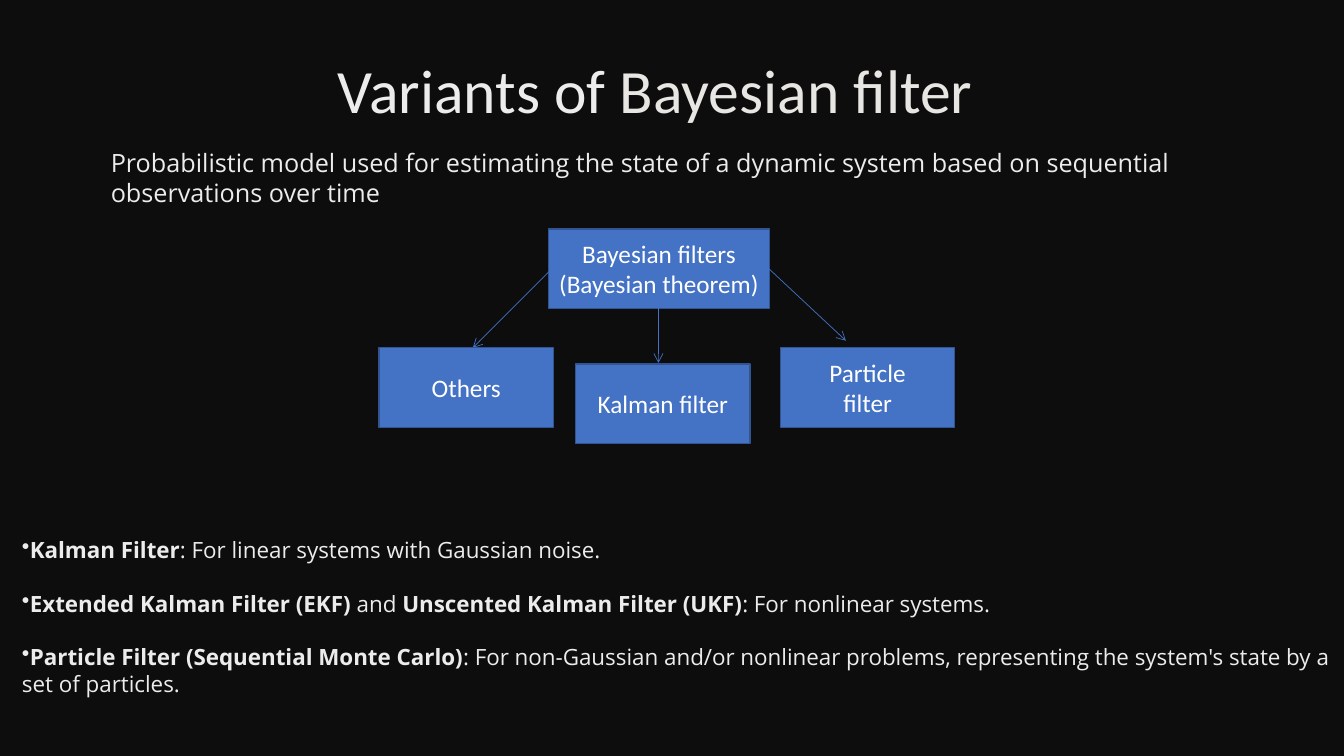
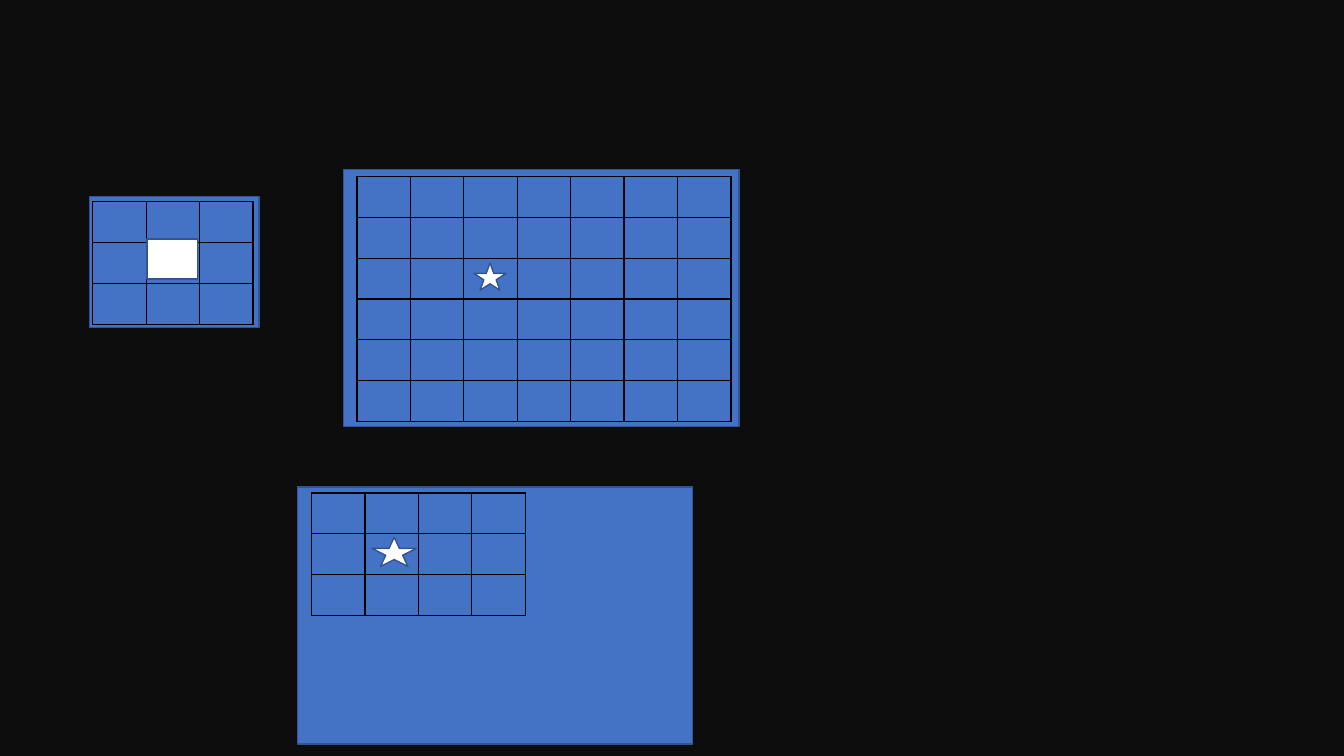
from pptx import Presentation
from pptx.dml.color import RGBColor
from pptx.enum.shapes import MSO_CONNECTOR as CONN, MSO_SHAPE as SHAPE
from pptx.enum.text import MSO_ANCHOR as ANCHOR, PP_ALIGN as ALIGN
from pptx.oxml import parse_xml
from pptx.oxml.ns import nsdecls, qn
from pptx.util import Pt

PX = 9144


def px(*lengths):
    return [n * PX for n in lengths]


def rgb(value):
    return RGBColor.from_string(value)


def xml(tag, attrs="", body=""):
    return parse_xml(f"<a:{tag} {nsdecls('a')} {attrs}>{body}</a:{tag}>")


class Deck:
    """Holds the style and the current slide, and draws each kind of element."""

    BACK, BLUE, EDGE, WHITE = "0D0D0D", "4472C4", "325491", "FFFFFF"
    TEXT, TITLE_TEXT, GRID = "ECECEC", "E8E6E3", "000000"
    HEAD, BODY = "Calibri", "Open Sans"
    COL_W, ROW_H = 53, 40

    def __init__(self):
        self.prs = Presentation()
        self.prs.slide_width, self.prs.slide_height = px(1333, 750)

    def slide(self):
        self.s = self.prs.slides.add_slide(self.prs.slide_layouts[6])
        fill = self.s.background.fill
        fill.solid()
        fill.fore_color.rgb = rgb(self.BACK)

    def run(self, p, text, size, font, color, bold=False):
        r = p.add_run()
        r.text = text
        r.font.size, r.font.name, r.font.bold = Pt(size), font, bold
        r.font.color.rgb = rgb(color)

    def textbox(self, x, y, w, h):
        tf = self.s.shapes.add_textbox(*px(x, y, w, h)).text_frame
        tf.word_wrap = True
        return tf

    def paragraph(self, tf, i):
        return tf.add_paragraph() if i else tf.paragraphs[0]

    def title(self, x, y, w, h, *parts):
        tf = self.textbox(x, y, w, h)
        tf.vertical_anchor = ANCHOR.MIDDLE
        p = tf.paragraphs[0]
        p.alignment, p.line_spacing = ALIGN.CENTER, 0.9
        for text, color in parts:
            self.run(p, text, 44, self.HEAD, color)

    def body(self, x, y, w, h, text):
        p = self.textbox(x, y, w, h).paragraphs[0]
        self.run(p, text, 18, self.BODY, self.TEXT)

    def bullets(self, x, y, w, h, items):
        tf = self.textbox(x, y, w, h)
        for i, parts in enumerate(items):
            p = self.paragraph(tf, i)
            p.space_after = Pt(19)
            p._p.get_or_add_pPr().append(xml("buChar", 'char="•"'))
            for j, text in enumerate(parts):
                self.run(p, text, 16, self.BODY, self.TEXT, bold=j % 2 == 0)

    def shape(self, x, y, w, h, lines=(), kind=SHAPE.RECTANGLE, fill=BLUE):
        sp = self.s.shapes.add_shape(kind, *px(x, y, w, h))
        sp.shadow.inherit = False
        sp.fill.solid()
        sp.fill.fore_color.rgb = rgb(fill)
        sp.line.color.rgb = rgb(self.EDGE)
        sp.line.width = Pt(1)
        tf = sp.text_frame
        tf.vertical_anchor = ANCHOR.MIDDLE
        for i, text in enumerate(lines):
            p = self.paragraph(tf, i)
            p.alignment = ALIGN.CENTER
            self.run(p, text, 18, self.HEAD, self.WHITE)

    def marker(self, x, y, w, h, kind):
        self.shape(x, y, w, h, kind=kind, fill=self.WHITE)

    def arrow(self, x1, y1, x2, y2):
        line = self.s.shapes.add_connector(CONN.STRAIGHT, *px(x1, y1, x2, y2))
        line.line.color.rgb = rgb(self.BLUE)
        line.line.width = Pt(0.5)
        sppr = line._element.spPr
        sppr.find(qn("a:ln")).append(xml("tailEnd", 'type="arrow"'))
        sppr.append(xml("effectLst"))

    def grid(self, x, y, cols, rows):
        size = px(x, y, cols * self.COL_W, rows * self.ROW_H)
        table = self.s.shapes.add_table(rows, cols, *size).table
        table.first_row = table.horz_banding = False
        stroke = f'<a:solidFill><a:srgbClr val="{self.GRID}"/></a:solidFill>'
        for cell in table.iter_cells():
            tcpr = cell._tc.get_or_add_tcPr()
            for side in "LRTB":
                tcpr.append(xml("ln" + side, f'w="{Pt(1)}"', stroke))
            cell.fill.background()


def variants(d):
    d.slide()
    d.shape(544, 227, 219, 79, ["Bayesian filters", "(Bayesian theorem)"])
    for ends in ((545, 269, 469, 345), (763, 267, 839, 338), (653, 306, 653, 360)):
        d.arrow(*ends)
    for x, y, lines in (
        (571, 361, ["Kalman filter"]),
        (376, 345, ["Others"]),
        (774, 345, ["Particle", "filter"]),
    ):
        d.shape(x, y, 173, 79, lines)
    d.title(270, 54, 760, 78, ("Variants of ", d.TEXT), ("Bayesian filter", d.TITLE_TEXT))
    d.body(100, 141, 1171, 71,
           "Probabilistic model used for estimating the state of a dynamic system "
           "based on sequential observations over time")
    d.bullets(12, 527, 1317, 145, [
        ["Kalman Filter", ": For linear systems with Gaussian noise."],
        ["Extended Kalman Filter (EKF)", " and ",
         "Unscented Kalman Filter (UKF)", ": For nonlinear systems."],
        ["Particle Filter (Sequential Monte Carlo)",
         ": For non-Gaussian and/or nonlinear problems, representing "
         "the system's state by a set of particles."],
    ])


def grids(d):
    d.slide()
    for panel, grid, marker, kind in (
        ((341, 168, 392, 255), (354, 175, 7, 6), (470, 261, 32, 27), SHAPE.STAR_5_POINT),
        ((89, 195, 168, 130), (92, 200, 3, 3), (146, 237, 50, 40), SHAPE.RECTANGLE),
        ((295, 483, 392, 255), (309, 489, 4, 3), (369, 533, 44, 29), SHAPE.STAR_5_POINT),
    ):
        d.shape(*panel)
        d.grid(*grid)
        d.marker(*marker, kind)


def main():
    d = Deck()
    variants(d)
    grids(d)
    d.prs.save("out.pptx")


if __name__ == "__main__":
    main()
